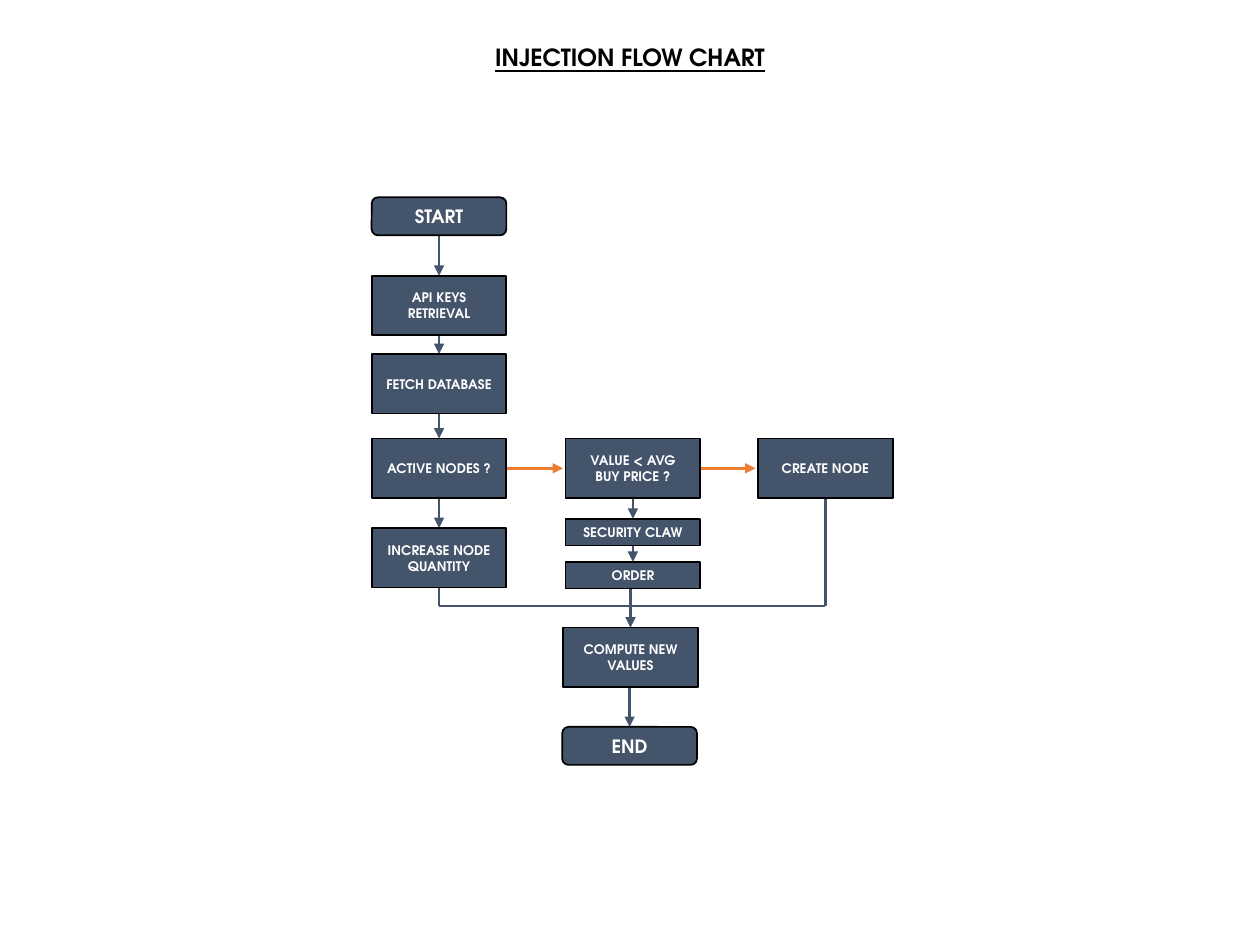
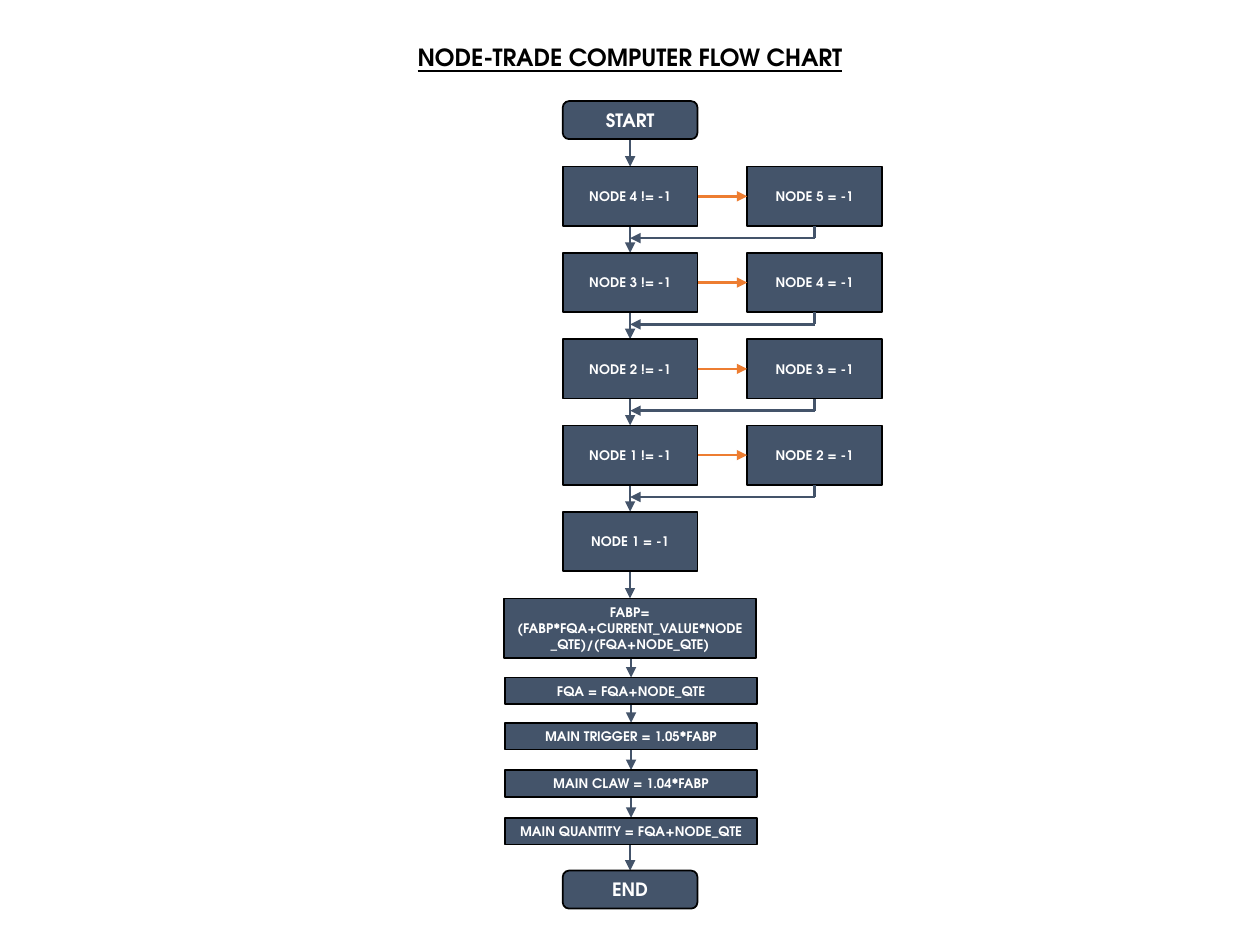
"""Build two flow chart slides with shared box, link and title styles."""
import dataclasses
import itertools

import lxml.etree
import pptx
import pptx.dml.color
import pptx.enum.shapes
import pptx.enum.text
import pptx.oxml.ns
import pptx.slide
import pptx.text.text
import pptx.util

Pt = pptx.util.Pt
FONT = "TeX Gyre Adventor"
SLATE, ORANGE, BLACK, WHITE = "44546A", "ED7D31", "000000", "FFFFFF"
WIDE, TALL, SLIM, CAP = 77, 34, 15.3, 21.7


@dataclasses.dataclass(frozen=True)
class Box:
    text: str
    left: float
    top: float
    width: float = WIDE
    height: float = TALL
    cap: bool = False

    @property
    def mid(self) -> float:
        return self.left + self.width / 2

    @property
    def right(self) -> float:
        return self.left + self.width

    @property
    def base(self) -> float:
        return self.top + self.height


def paint(code: str) -> pptx.dml.color.RGBColor:
    return pptx.dml.color.RGBColor.from_string(code)


def write(frame: pptx.text.text.TextFrame, text: str, size: float, code: str) -> None:
    frame.word_wrap = True
    frame.text = text
    para = frame.paragraphs[0]
    para.alignment = pptx.enum.text.PP_ALIGN.CENTER
    para.font.name = FONT
    para.font.size = Pt(size)
    para.font.bold = True
    para.font.color.rgb = paint(code)


def title(slide: pptx.slide.Slide, text: str, width: float) -> None:
    area = slide.shapes.add_textbox(Pt(360 - width / 2), Pt(20.9), Pt(width), Pt(23.8))
    frame = area.text_frame
    write(frame, text, 13.5, BLACK)
    frame.auto_size = pptx.enum.text.MSO_AUTO_SIZE.SHAPE_TO_FIT_TEXT
    frame.paragraphs[0].font.underline = True


def draw(slide: pptx.slide.Slide, box: Box) -> None:
    kinds = pptx.enum.shapes.MSO_SHAPE
    kind = kinds.ROUNDED_RECTANGLE if box.cap else kinds.RECTANGLE
    shape = slide.shapes.add_shape(
        kind, Pt(box.left), Pt(box.top), Pt(box.width), Pt(box.height))
    shape.shadow.inherit = False
    shape.fill.solid()
    shape.fill.fore_color.rgb = paint(SLATE)
    shape.line.color.rgb = paint(BLACK)
    shape.line.width = Pt(1)
    shape.text_frame.vertical_anchor = pptx.enum.text.MSO_ANCHOR.MIDDLE
    write(shape.text_frame, box.text, 10.5 if box.cap else 7.5, WHITE)


def link(slide: pptx.slide.Slide, x1: float, y1: float, x2: float, y2: float,
         code: str = SLATE, arrow: bool = True) -> None:
    line = slide.shapes.add_connector(
        pptx.enum.shapes.MSO_CONNECTOR.STRAIGHT, Pt(x1), Pt(y1), Pt(x2), Pt(y2))
    line.line.color.rgb = paint(code)
    line.line.width = Pt(1.5)
    qn = pptx.oxml.ns.qn
    props = line._element.spPr
    if arrow:
        lxml.etree.SubElement(props.find(qn("a:ln")), qn("a:tailEnd"), type="triangle")
    lxml.etree.SubElement(props, qn("a:effectLst"))


def chain(slide: pptx.slide.Slide, boxes: list[Box]) -> None:
    for one, two in itertools.pairwise(boxes):
        link(slide, two.mid, one.base, two.mid, two.top)
    for box in boxes:
        draw(slide, box)


def side(slide: pptx.slide.Slide, one: Box, two: Box, gap: float = 0) -> None:
    y = one.top + one.height / 2
    link(slide, one.right, y, two.left - gap, y, ORANGE)


def inject(slide: pptx.slide.Slide) -> None:
    title(slide, "INJECTION FLOW CHART", 216.8)
    left, mid, bus = 212.4, 323.2, 346.3
    start = Box("START", left, 112.8, height=CAP, cap=True)
    keys = Box("API KEYS RETRIEVAL", left, 157.6)
    fetch = Box("FETCH DATABASE", left, 202.3)
    ask = Box("ACTIVE NODES ?", left, 250.6)
    grow = Box("INCREASE NODE QUANTITY", left, 301.8)
    price = Box("VALUE < AVG BUY PRICE ?", mid, 250.6)
    claw = Box("SECURITY CLAW", mid, 296.5, height=SLIM)
    order = Box("ORDER", mid, 321.1, height=SLIM)
    new = Box("COMPUTE NEW VALUES", 321.8, 358.6)
    end = Box("END", 321.3, 415.4, height=CAP, cap=True)
    node = Box("CREATE NODE", 433.2, 250.6)
    side(slide, ask, price, 1.5)
    side(slide, price, node, 1.5)
    for box in (grow, node):
        link(slide, box.mid, box.base, box.mid, bus, arrow=False)
    link(slide, grow.mid, bus, node.mid, bus, arrow=False)
    chain(slide, [start, keys, fetch, ask, grow])
    chain(slide, [price, claw, order, new, end])
    draw(slide, node)


def trade(slide: pptx.slide.Slide) -> None:
    title(slide, "NODE-TRADE COMPUTER FLOW CHART", 280)
    left, top, step = 321.6, 95.2, 49.3
    tests = [Box(f"NODE {4 - i} != -1", left, top + i * step) for i in range(4)]
    sets = [Box(f"NODE {5 - i} = -1", 427, top + i * step) for i in range(4)]
    sums = [Box(text, 288.6, y, 144, SLIM) for text, y in (
        ("FQA = FQA+NODE_QTE", 387.2),
        ("MAIN TRIGGER = 1.05*FABP", 413),
        ("MAIN CLAW = 1.04*FABP", 440),
        ("MAIN QUANTITY = FQA+NODE_QTE", 467.3))]
    chain(slide, [
        Box("START", left, 57.8, height=CAP, cap=True),
        *tests,
        Box("NODE 1 = -1", left, top + 4 * step),
        Box("FABP= (FABP*FQA+CURRENT_VALUE*NODE_QTE)/(FQA+NODE_QTE)", 288, 342, 144),
        *sums,
        Box("END", left, 497.5, height=CAP, cap=True)])
    for test, other in zip(tests, sets):
        draw(slide, other)
        side(slide, test, other)
        y = other.base + 6.9
        link(slide, other.mid, other.base, other.mid, y, arrow=False)
        link(slide, other.mid, y, test.mid, y)


def main() -> None:
    deck = pptx.Presentation()
    deck.slide_width, deck.slide_height = Pt(720), Pt(540)
    for fill in (inject, trade):
        fill(deck.slides.add_slide(deck.slide_layouts[6]))
    deck.save("out.pptx")


main()
